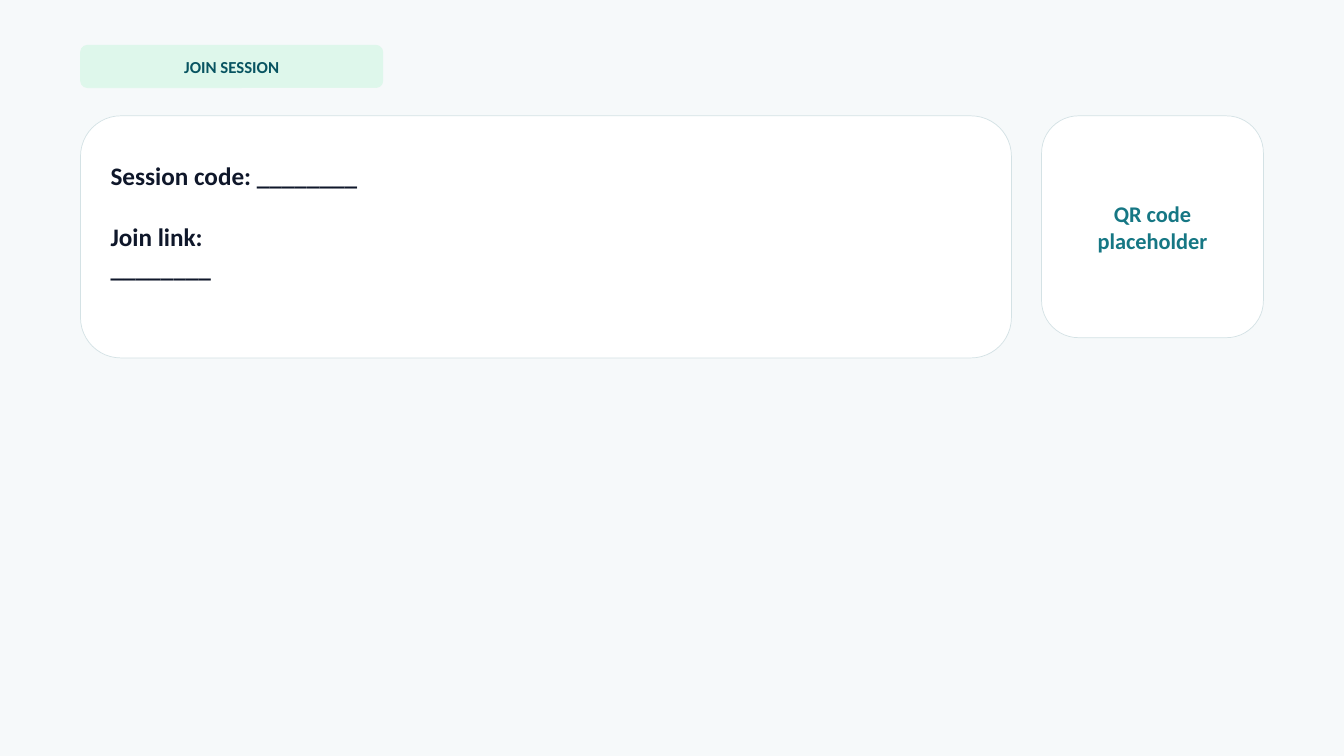
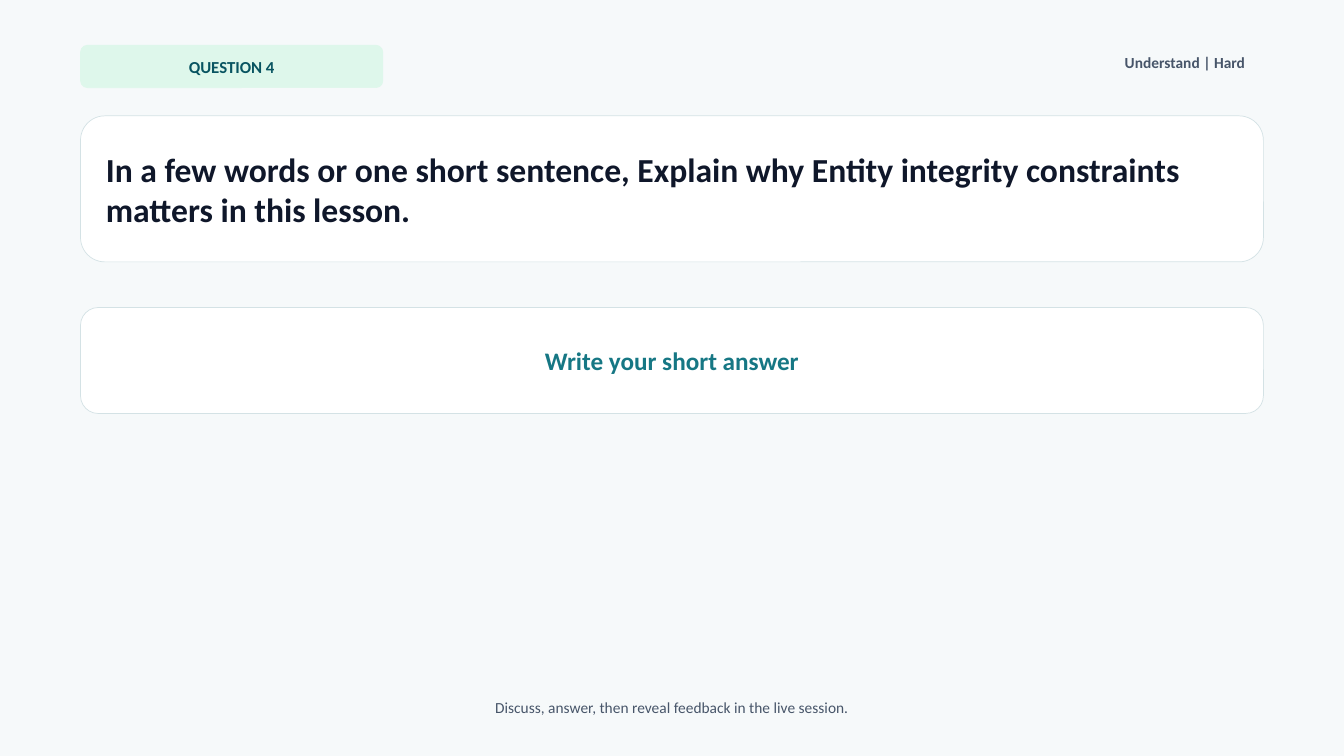
from dataclasses import dataclass

from pptx import Presentation
from pptx.dml.color import RGBColor as Rgb
from pptx.enum.shapes import MSO_SHAPE as Kind
from pptx.enum.text import MSO_ANCHOR as Anchor, PP_ALIGN as Align
from pptx.slide import Slide
from pptx.util import Cm, Pt

# Shared look
HUES = {
    "page": "F6F9FA", "mint": "DEF7EB", "white": "FFFFFF", "edge": "D4E2E5",
    "deep": "085461", "teal": "167784", "ink": "0F172A", "slate": "475569",
}
FONT = "Calibri"

# Grid, in centimetres
WIDE, HIGH = 33.87, 19.05
LEFT = 2.03
FULL = WIDE - 2 * LEFT
RIGHT = LEFT + FULL
HEAD, BODY = 1.14, 2.92
BAND = 1.07
GAP = 0.76
PAD_X, PAD_Y = 0.46, 0.2


@dataclass
class Box:
    text: str
    x: float
    y: float
    w: float
    h: float
    size: int
    ink: str
    bold: bool = True
    align: Align = Align.CENTER
    fill: str = ""           # no fill makes a plain text box
    edge: str = "edge"
    foot: float = PAD_Y      # bottom inset
    gaps: tuple[int, ...] = ()  # space before each paragraph, in points


def hue(name: str) -> Rgb:
    return Rgb.from_string(HUES[name])


def draw(slide: Slide, box: Box) -> None:
    area = Cm(box.x), Cm(box.y), Cm(box.w), Cm(box.h)
    if box.fill:
        shape = slide.shapes.add_shape(Kind.ROUNDED_RECTANGLE, *area)
        shape.shadow.inherit = False
        shape.fill.solid()
        shape.fill.fore_color.rgb = hue(box.fill)
        shape.line.color.rgb = hue(box.edge)
        shape.line.width = Pt(0.5)
    else:
        shape = slide.shapes.add_textbox(*area)

    frame = shape.text_frame
    frame.text = box.text
    frame.word_wrap = True
    frame.vertical_anchor = Anchor.MIDDLE if box.fill else Anchor.TOP
    frame.margin_left = frame.margin_right = Cm(PAD_X)
    frame.margin_top, frame.margin_bottom = Cm(PAD_Y), Cm(box.foot)
    for para in frame.paragraphs:
        para.alignment = box.align
        for run in para.runs:
            run.font.name, run.font.size = FONT, Pt(box.size)
            run.font.bold = box.bold
            run.font.color.rgb = hue(box.ink)
    for para, gap in zip(frame.paragraphs, box.gaps):
        para.space_before = Pt(gap)


def pill(text: str) -> Box:
    return Box(text, LEFT, HEAD, 7.62, BAND, 12, "deep",
               fill="mint", edge="mint")


def card(text: str, x: float, y: float, w: float, h: float, size: int,
         ink: str = "teal", **more) -> Box:
    return Box(text, x, y, w, h, size, ink, fill="white", **more)


def main() -> None:
    deck = Presentation()
    deck.slide_width, deck.slide_height = Cm(WIDE), Cm(HIGH)
    back = deck.slide_master.background.fill
    back.solid()
    back.fore_color.rgb = hue("page")

    side = 5.59
    # Join slide: session details and a square for the code
    join = [
        pill("JOIN SESSION"),
        card("Session code: ________\nJoin link:\n________",
             LEFT, BODY, FULL - GAP - side, 6.1, 18, "ink",
             align=Align.LEFT, foot=0.98, gaps=(0, 22, 0)),
        card("QR code\nplaceholder", RIGHT - side, BODY, side, side, 16),
    ]
    # Question slide: level, prompt, answer field and footer
    ask = [
        pill("QUESTION 4"),
        Box("Understand | Hard", RIGHT - 8.13, HEAD, 8.13, BAND, 11, "slate",
            align=Align.RIGHT),
        card("In a few words or one short sentence, Explain why Entity "
             "integrity constraints matters in this lesson.",
             LEFT, BODY, FULL, 3.68, 24, "ink", align=Align.LEFT),
        card("Write your short answer", LEFT, 7.75, FULL, 2.67, 18),
        Box("Discuss, answer, then reveal feedback in the live session.",
            LEFT, 17.4, FULL, 0.71, 11, "slate", bold=False),
    ]
    for boxes in (join, ask):
        slide = deck.slides.add_slide(deck.slide_layouts[6])
        for box in boxes:
            draw(slide, box)
    deck.save("out.pptx")


if __name__ == "__main__":
    main()
